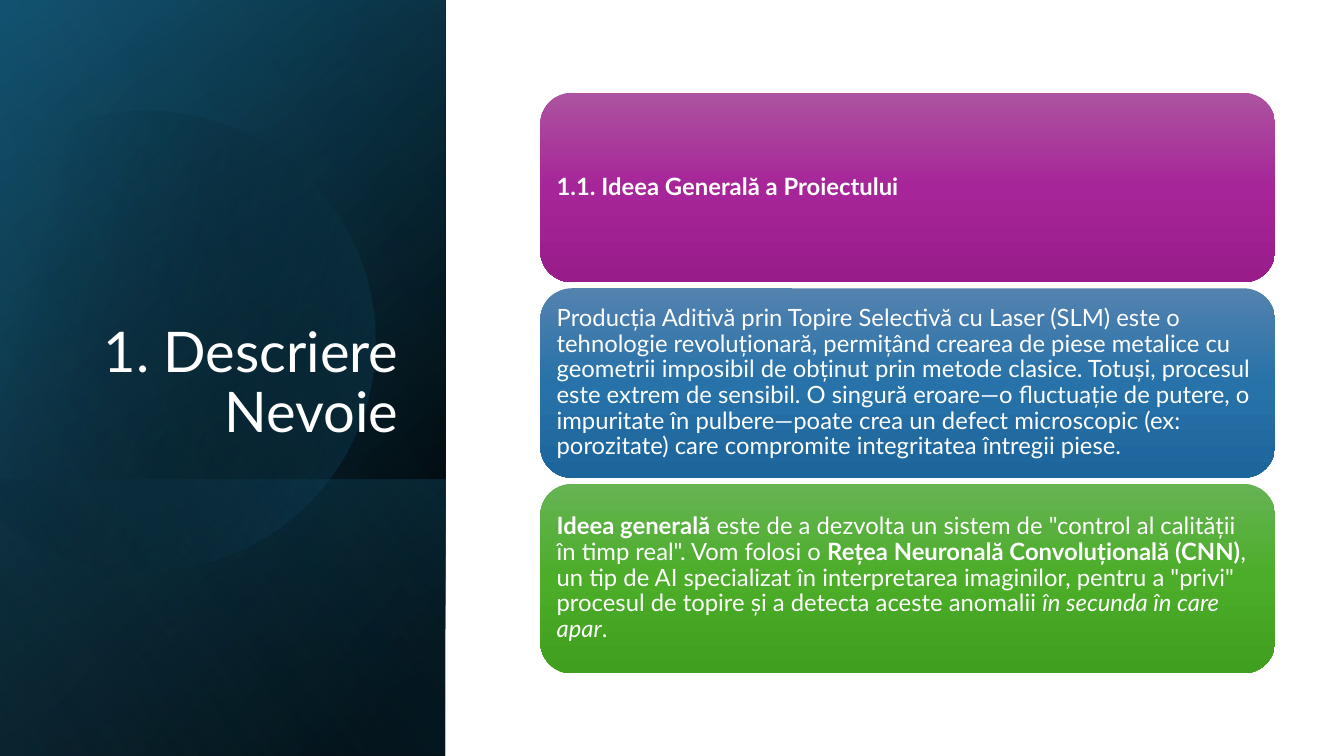
from dataclasses import dataclass
from math import cos, radians, sin

from lxml.etree import SubElement
from pptx import Presentation
from pptx.dml.color import RGBColor
from pptx.enum.shapes import MSO_SHAPE
from pptx.enum.text import MSO_ANCHOR, PP_ALIGN
from pptx.oxml.ns import qn
from pptx.util import Pt


@dataclass(frozen=True)
class Theme:
    font: str = "Lato"
    white: str = "FFFFFF"
    black: str = "000000"
    navy: str = "104862"
    teal: str = "156082"
    sky: str = "46B1E1"
    pink: tuple = ("AC53A0", "A62598", "991C8B")
    blue: tuple = ("5382AF", "2772A9", "1D669C")
    green: tuple = ("66B354", "4BAD28", "409F1E")
    title: int = 40
    body: int = 17


@dataclass(frozen=True)
class Stop:
    pos: int
    color: str
    alpha: int = 100


@dataclass(frozen=True)
class Panel:
    mid: float
    width: float
    angle: int
    stops: tuple


@dataclass(frozen=True)
class Run:
    text: str
    bold: bool = False
    italic: bool = False


@dataclass(frozen=True)
class Card:
    colors: tuple
    runs: tuple


THEME = Theme()
SIDE = 318.24
TALL = 540

BACK = Panel(270, TALL, 50, (Stop(8, THEME.black), Stop(100, THEME.navy)))
GLOW = Panel(270, TALL, 30, (Stop(0, THEME.black, 0), Stop(99, THEME.teal, 46)))
BASE = Panel(441.36, 197.28, 130, (Stop(2, THEME.teal, 29), Stop(100, THEME.black, 30)))
SHEEN = Panel(270, TALL, 120, (Stop(0, THEME.black, 0), Stop(99, THEME.sky, 11)))

DISC_TURN = 343.9
DISC_MID = (114.12, 240.84)
DISC_STOPS = (Stop(29, THEME.black, 0), Stop(100, THEME.teal, 43))
DISC_START = (107.28, 79.2)
DISC_PARTS = (
    ((177.12, 80.64), (241.2, 127.44), (261.36, 198)),
    ((286.56, 285.84), (236.16, 376.56), (149.04, 401.76)),
    ((94.32, 417.6), (38.16, 403.92), (-2.16, 370.08)),
    ((-10.8, 362.16),),
    ((-10.8, 126),),
    ((0, 115.92),),
    ((16.56, 102.24), (36, 92.16), (57.6, 85.68)),
    ((74.16, 81.36), (90.72, 79.2), DISC_START),
)

CARDS = (
    Card(THEME.pink, (Run("1.1. Ideea Generală a Proiectului", bold=True),)),
    Card(THEME.blue, (
        Run("Producția Aditivă prin Topire Selectivă cu Laser (SLM) este o tehnologie "
            "revoluționară, permițând crearea de piese metalice cu geometrii imposibil de "
            "obținut prin metode clasice. Totuși, procesul este extrem de sensibil. O singură "
            "eroare—o fluctuație de putere, o impuritate în pulbere—poate crea un defect "
            "microscopic (ex: porozitate) care compromite integritatea întregii piese."),
    )),
    Card(THEME.green, (
        Run("Ideea generală", bold=True),
        Run(' este de a dezvolta un sistem de "control al calității în timp real". '
            "Vom folosi o "),
        Run("Rețea Neuronală Convoluțională (CNN)", bold=True),
        Run(', un tip de AI specializat în interpretarea imaginilor, pentru a "privi" '
            "procesul de topire și a detecta aceste anomalii "),
        Run("în secunda în care apar", italic=True),
        Run("."),
    )),
)


def paint(shape, stops: tuple, angle: int) -> None:
    shape.shadow.inherit = False
    shape.line.fill.background()
    shape.fill.gradient()
    grad = shape.element.spPr.find(qn("a:gradFill"))
    for child in list(grad):
        grad.remove(child)
    items = SubElement(grad, qn("a:gsLst"))
    for stop in stops:
        item = SubElement(items, qn("a:gs"), pos=str(stop.pos * 1000))
        color = SubElement(item, qn("a:srgbClr"), val=stop.color)
        if stop.alpha < 100:
            SubElement(color, qn("a:alpha"), val=str(stop.alpha * 1000))
    SubElement(grad, qn("a:lin"), ang=str(angle * 60000), scaled="0")


def add_panel(slide, panel: Panel) -> None:
    shape = slide.shapes.add_shape(
        MSO_SHAPE.RECTANGLE, Pt((SIDE - panel.width) / 2), Pt(panel.mid - SIDE / 2),
        Pt(panel.width), Pt(SIDE))
    shape.rotation = 90
    shape.element.spPr.xfrm.set("flipH", "1")
    paint(shape, panel.stops, panel.angle)


def trace(start: tuple, parts: tuple, steps: int = 24) -> list:
    points = [start]
    for part in parts:
        if len(part) == 1:
            points.append(part[0])
            continue
        knots = (points[-1], *part)
        for step in range(1, steps + 1):
            t = step / steps
            u = 1 - t
            rates = (u ** 3, 3 * u * u * t, 3 * u * t * t, t ** 3)
            points.append(tuple(
                sum(rate * knot[axis] for rate, knot in zip(rates, knots))
                for axis in (0, 1)))
    return points


def turn(point: tuple, mid: tuple, angle: float) -> tuple:
    c, s = cos(radians(angle)), sin(radians(angle))
    x, y = point[0] - mid[0], point[1] - mid[1]
    return Pt(mid[0] + x * c - y * s), Pt(mid[1] + x * s + y * c)


def add_disc(slide) -> None:
    points = [turn(point, DISC_MID, -DISC_TURN) for point in trace(DISC_START, DISC_PARTS)]
    form = slide.shapes.build_freeform(*points[0])
    form.add_line_segments(points[1:], close=True)
    shape = form.convert_to_shape()
    shape.rotation = DISC_TURN
    paint(shape, DISC_STOPS, 30)


def write(para, runs: tuple, size: int, align: PP_ALIGN) -> None:
    para.alignment = align
    para.line_spacing = 0.9
    for item in runs:
        run = para.add_run()
        run.text = item.text
        font = run.font
        font.name = THEME.font
        font.size = Pt(size)
        font.bold = item.bold
        font.italic = item.italic
        font.color.rgb = RGBColor.from_string(THEME.white)


def add_title(slide) -> None:
    frame = slide.shapes.add_textbox(
        Pt(46.08), Pt(132.48), Pt(245.52), Pt(188.64)).text_frame
    frame.word_wrap = True
    frame.vertical_anchor = MSO_ANCHOR.BOTTOM
    write(frame.paragraphs[0], (Run("1. Descriere Nevoie"),), THEME.title, PP_ALIGN.RIGHT)


def add_card(slide, card: Card, top: float) -> None:
    shape = slide.shapes.add_shape(
        MSO_SHAPE.ROUNDED_RECTANGLE, Pt(385.92), Pt(top), Pt(524.88), Pt(135.36))
    paint(shape, tuple(Stop(50 * i, color) for i, color in enumerate(card.colors)), 90)
    frame = shape.text_frame
    frame.word_wrap = True
    frame.vertical_anchor = MSO_ANCHOR.MIDDLE
    frame.margin_left = frame.margin_right = Pt(5.1)
    frame.margin_top = frame.margin_bottom = Pt(5.1)
    write(frame.paragraphs[0], card.runs, THEME.body, PP_ALIGN.LEFT)


def main() -> None:
    deck = Presentation()
    deck.slide_width, deck.slide_height = Pt(960), Pt(TALL)
    slide = deck.slides.add_slide(deck.slide_layouts[6])
    for panel in (BACK, GLOW, BASE):
        add_panel(slide, panel)
    add_disc(slide)
    add_panel(slide, SHEEN)
    add_title(slide)
    for i, card in enumerate(CARDS):
        add_card(slide, card, 66.24 + 139.68 * i)
    deck.save("out.pptx")


if __name__ == "__main__":
    main()
